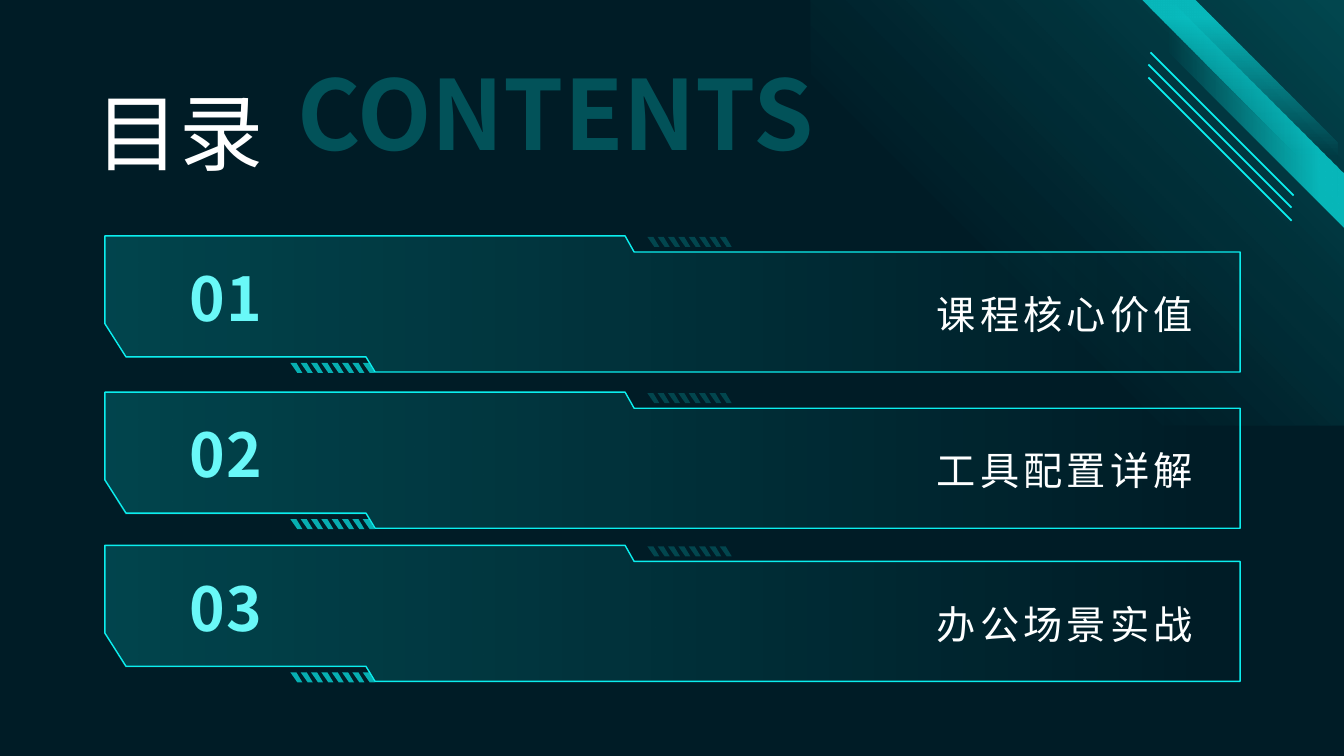
from lxml import etree
from pptx import Presentation
from pptx import util as u
from pptx.dml.color import RGBColor
from pptx.enum import shapes, text
from pptx.oxml import ns

NAVY = RGBColor(0x00, 0x1C, 0x26)
CYAN = RGBColor(0x0B, 0xEE, 0xEE)
LIGHT_CYAN = RGBColor(0x69, 0xF8, 0xF8)
PALE_CYAN = RGBColor(0xCD, 0xFD, 0xFD)
WHITE = RGBColor(0xFF, 0xFF, 0xFF)
NEAR_WHITE = RGBColor(0xFE, 0xFF, 0xFF)
FONT = "Noto Sans CJK SC"

ROWS = [
    (2.34, "01", "课程核心价值"),
    (3.89, "02", "工具配置详解"),
    (5.41, "03", "办公场景实战"),
]
PANEL = [(1.04, 0), (6.2, 0), (6.29, 0.16), (12.3, 0.16), (12.3, 1.35),
         (3.72, 1.35), (3.63, 1.2), (1.25, 1.2), (1.04, 0.87)]
STRIPE_STEP = 0.1025


def set_alpha(properties, percent):
    """Make every plain colour inside the given properties partly transparent."""
    for color in properties.iter(ns.qn("a:srgbClr")):
        etree.SubElement(color, ns.qn("a:alpha")).set("val", str(percent * 1000))


def gradient(stops, angle):
    """Return a linear gradient fill from (position, colour, opacity) stops."""
    fill = etree.Element(ns.qn("a:gradFill"), rotWithShape="1")
    stop_list = etree.SubElement(fill, ns.qn("a:gsLst"))
    for position, color, opacity in stops:
        stop = etree.SubElement(stop_list, ns.qn("a:gs"), pos=str(position * 1000))
        value = etree.SubElement(stop, ns.qn("a:srgbClr"), val=str(color))
        etree.SubElement(value, ns.qn("a:alpha"), val=str(opacity * 1000))
    etree.SubElement(fill, ns.qn("a:lin"), ang=str(angle * 60000), scaled="0")
    return fill


def fill_gradient(shape, stops, angle):
    """Fill a shape with a cyan gradient of (position, opacity) stops."""
    shape.shadow.inherit = False
    shape.fill.solid()
    solid = shape._element.spPr.find(ns.qn("a:solidFill"))
    cyan_stops = [(position, CYAN, opacity) for position, opacity in stops]
    solid.getparent().replace(solid, gradient(cyan_stops, angle))
    shape.line.fill.background()


def add_outline(slide, contours):
    """Draw one freeform made of closed contours given in inches."""
    points = [[(u.Inches(x), u.Inches(y)) for x, y in contour] for contour in contours]
    builder = slide.shapes.build_freeform(*points[0][0], scale=1.0)
    builder.add_line_segments(points[0][1:], close=True)
    for contour in points[1:]:
        builder.move_to(*contour[0])
        builder.add_line_segments(contour[1:], close=True)
    return builder.convert_to_shape()


def add_stripes(slide, left, top, count, opacity):
    """Draw a row of slanted hatch marks."""
    marks = []
    for index in range(count):
        x = left + index * STRIPE_STEP
        marks.append([(x, top), (x + 0.06, top), (x + 0.12, top + 0.1), (x + 0.07, top + 0.1)])
    shape = add_outline(slide, marks)
    shape.shadow.inherit = False
    shape.fill.solid()
    shape.fill.fore_color.rgb = CYAN
    set_alpha(shape._element.spPr, opacity)
    shape.line.fill.background()


def add_text(slide, box, content, size, color, anchor, align, spacing=0, wrap=True):
    """Add a one-line text box and return its paragraph."""
    frame = slide.shapes.add_textbox(*[u.Inches(value) for value in box]).text_frame
    frame.margin_left = frame.margin_right = frame.margin_top = frame.margin_bottom = 0
    frame.word_wrap = wrap
    frame.vertical_anchor = anchor
    frame.text = content
    paragraph = frame.paragraphs[0]
    paragraph.alignment = align
    run = paragraph.runs[0]
    run.font.size = u.Pt(size)
    run.font.name = FONT
    run.font.color.rgb = color
    properties = run._r.get_or_add_rPr()
    properties.set("spc", str(int(spacing * 100)))
    etree.SubElement(properties, ns.qn("a:ea")).set("typeface", FONT)
    return paragraph


def add_backdrop(slide):
    """Draw the corner glow, the two diagonal bands and the thin lines."""
    glow = slide.shapes.add_shape(shapes.MSO_SHAPE.RECTANGLE, u.Inches(8.04), 0,
                                  u.Inches(5.29), u.Inches(4.22))
    fill_gradient(glow, [(36, 0), (100, 20)], 315)
    lower_band = add_outline(slide, [[(11.12, 0.06), (11.66, 0.06), (13.33, 1.73), (13.33, 2.27)]])
    fill_gradient(lower_band, [(11, 70), (79, 0)], 180)
    for x, y in [(11.39, 0.77), (11.39, 0.64), (11.41, 0.52)]:
        line = slide.shapes.add_connector(shapes.MSO_CONNECTOR.STRAIGHT, u.Inches(x), u.Inches(y),
                                          u.Inches(x + 1.42), u.Inches(y + 1.42))
        line.line.color.rgb = CYAN
        line.line.width = u.Pt(1.25)
        etree.SubElement(line._element.spPr, ns.qn("a:effectLst"))
    upper_band = add_outline(slide, [[(11.32, 0), (11.85, 0), (13.26, 1.41), (13.26, 1.95)]])
    fill_gradient(upper_band, [(9, 70), (79, 0)], 90)


def add_heading(slide):
    """Add the title and its large translucent translation."""
    add_text(slide, (0.95, 0.62, 2, 1.18), "目录", 60, WHITE,
             text.MSO_ANCHOR.BOTTOM, text.PP_ALIGN.LEFT)
    contents = add_text(slide, (2.95, 0.53, 5.3, 1.39), "CONTENTS", 69, CYAN,
                        text.MSO_ANCHOR.TOP, text.PP_ALIGN.LEFT, wrap=False)
    contents.runs[0].font.bold = True
    set_alpha(contents.runs[0]._r.rPr, 25)


def add_row(slide, top, number, label):
    """Add one numbered agenda panel with its hatch marks."""
    panel = add_outline(slide, [[(x, top + y) for x, y in PANEL]])
    fill_gradient(panel, [(0, 20), (100, 0)], 0)
    panel.line.color.rgb = CYAN
    panel.line.width = u.Pt(1)
    paragraph = add_text(slide, (1.63, top + 0.11, 1.22, 0.93), number, 43.2, LIGHT_CYAN,
                         text.MSO_ANCHOR.MIDDLE, text.PP_ALIGN.CENTER, 1.5, wrap=False)
    paragraph.line_spacing = 1.1
    paragraph.space_after = u.Pt(10)
    paragraph.runs[0].font.bold = True
    properties = paragraph.runs[0]._r.rPr
    stops = [(20, CYAN, 100), (65, LIGHT_CYAN, 100), (99, PALE_CYAN, 100)]
    properties.replace(properties.find(ns.qn("a:solidFill")), gradient(stops, 225))
    add_text(slide, (3.24, top + 0.31, 8.59, 0.93), label, 28, NEAR_WHITE,
             text.MSO_ANCHOR.MIDDLE, text.PP_ALIGN.RIGHT, 3)
    add_stripes(slide, 6.42, top + 0.01, 8, 20)
    for left in (2.88, 3.29):
        add_stripes(slide, left, top + 1.26, 4, 70)


def main():
    """Build and save the contents slide."""
    presentation = Presentation()
    presentation.slide_width = u.Inches(13.33)
    presentation.slide_height = u.Inches(7.5)
    slide = presentation.slides.add_slide(presentation.slide_layouts[6])
    slide.background.fill.solid()
    slide.background.fill.fore_color.rgb = NAVY
    add_backdrop(slide)
    add_heading(slide)
    for top, number, label in ROWS:
        add_row(slide, top, number, label)
    presentation.save("out.pptx")


if __name__ == "__main__":
    main()
